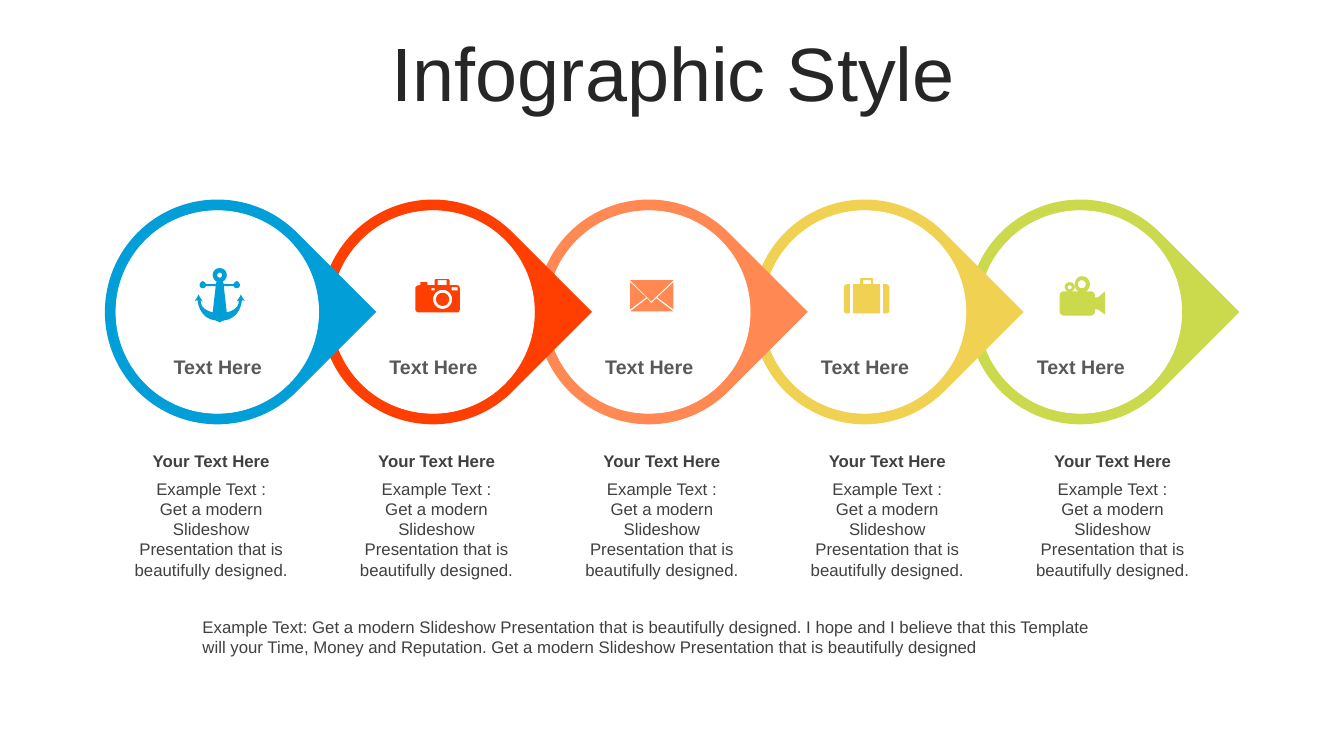
from dataclasses import dataclass

from pptx import Presentation
from pptx.dml.color import RGBColor
from pptx.enum.shapes import MSO_SHAPE
from pptx.enum.text import MSO_ANCHOR, MSO_AUTO_SIZE, PP_ALIGN
from pptx.util import Pt
from math import cos, pi, sin

PX = 9144  # EMU in one px, 100 px to the inch


@dataclass(frozen=True)
class Theme:
    font: str = "Arial"
    white: str = "FFFFFF"
    title: str = "262626"
    label: str = "595959"
    body: str = "404040"
    title_size: int = 54
    label_size: int = 14
    body_size: int = 12
    rim: float = 0.5


THEME = Theme()


# Outline helpers: a 2-tuple is a corner, a 6-tuple is a Bezier curve
def outline(*steps):
    points = []
    for step in steps:
        if len(step) == 2:
            points.append(step)
            continue
        start = points[-1]
        first, second, end = step[:2], step[2:4], step[4:]
        for i in range(1, 7):
            t = i / 6
            u = 1 - t
            points.append(tuple(
                u**3 * a + 3 * u * u * t * b + 3 * u * t * t * c + t**3 * d
                for a, b, c, d in zip(start, first, second, end)))
    return points


def circle(x, y, radius):
    return [(x + radius * cos(i * pi / 16), y + radius * sin(i * pi / 16))
            for i in range(32)]


def box(left, top, right, bottom):
    return [(left, top), (right, top), (right, bottom), (left, bottom)]


def mirrored(half):
    return half + [(-x, y) for x, y in reversed(half)]


# Content
TITLE = "Infographic Style"
LABEL = "Text Here"
CAPTION = "Your Text Here"
DETAIL = ["Example Text :",
          "Get a modern Slideshow Presentation that is beautifully designed."]
SUMMARY = ("Example Text: Get a modern Slideshow Presentation that is beautifully "
           "designed. I hope and I believe that this Template will your Time, Money "
           "and Reputation. Get a modern Slideshow Presentation that is beautifully "
           "designed")

ANCHOR = [
    mirrored(outline(
        (0, 0), (4, 0, 7, 3, 7, 7), (7, 9, 6, 11, 4, 13), (3, 13), (4, 16),
        (14, 16), (14, 15), (15, 14, 16, 13, 17, 13), (18, 13, 20, 15, 20, 17),
        (20, 19, 18, 20, 17, 20), (15, 20, 14, 19, 14, 18), (4, 18), (7, 44),
        (14, 42, 19, 39, 19, 32), (17, 33), (18, 31, 20, 29, 21, 26),
        (22, 29, 24, 31, 25, 33), (24, 32, 23, 32, 22, 32),
        (21, 42, 15, 51, 4, 52), (2, 53, 1, 53, 0, 54))),
    circle(0, 7, 2.5),
]
CAMERA = [
    outline((20, 0), (33, 0), (34, 1), (34, 6), (41, 6), (43, 6, 44, 7, 44, 9),
            (44, 30), (44, 32, 43, 33, 41, 33), (4, 33), (2, 33, 0, 32, 0, 30),
            (0, 9), (0, 7, 2, 6, 4, 6), (5, 6), (5, 3), (12, 3), (12, 6),
            (19, 6), (19, 1)),
    circle(27, 20, 9.5), circle(27, 20, 6.5),
    box(16, 9, 19, 11), box(36, 8, 42, 11), box(22, 1, 31, 6),
]
ENVELOPE = [
    outline((26, 18), (43, 31), (0, 31), (17, 18), (21, 23)),
    outline((43, 2), (43, 29), (27, 17)),
    outline((0, 2), (16, 17), (0, 29)),
    outline((0, 0), (43, 0), (21, 21)),
]
SUITCASE = [
    outline((39, 6), (42, 6), (44, 6, 45, 8, 45, 9), (45, 32),
            (45, 34, 44, 35, 42, 35), (39, 35)),
    outline((6, 6), (6, 35), (3, 35), (1, 35, 0, 34, 0, 32), (0, 9),
            (0, 8, 1, 6, 3, 6)),
    outline((18, 0), (27, 0), (28, 0, 29, 0, 29, 1), (29, 6), (36, 6), (36, 35),
            (9, 35), (9, 6), (16, 6), (16, 1), (16, 0, 17, 0, 18, 0)),
    box(19, 2, 27, 6),
]
FILM_CAMERA = [
    outline((22, 0), (27, 0, 30, 4, 30, 8), (30, 11, 28, 14, 26, 15), (31, 15),
            (33, 15, 35, 17, 35, 19), (35, 21), (38, 21), (45, 15), (45, 38),
            (38, 33), (35, 33), (35, 35), (35, 37, 33, 39, 31, 39), (4, 39),
            (2, 39, 0, 37, 0, 35), (0, 19), (0, 17, 2, 15, 4, 15), (8, 15),
            (6, 14, 5, 12, 5, 11), (5, 8, 7, 6, 10, 6), (13, 6, 15, 8, 15, 11),
            (15, 12, 14, 14, 12, 15), (19, 15), (16, 14, 15, 11, 15, 8),
            (15, 4, 18, 0, 22, 0)),
    circle(10, 11, 2), circle(22, 8, 4),
]
# Colour, icon and the icon's origin for each step
STEPS = [
    ("019ED7", ANCHOR, (218, 266)),
    ("FF3F02", CAMERA, (412, 277)),
    ("FF8853", ENVELOPE, (625, 278)),
    ("F0D152", SUITCASE, (837, 276)),
    ("CADA4C", FILM_CAMERA, (1051, 274)),
]

# Layout
DROP_LEFT, DROP_TOP, DROP_SIZE, DROP_PITCH = 104, 198, 223, 214
RIM_WIDTH = 11
CAPTION_LEFT, CAPTION_PITCH = 115, 447 / 2

prs = Presentation()
prs.slide_width, prs.slide_height = 1333 * PX, 750 * PX
slide = prs.slides.add_slide(prs.slide_layouts[6])
shapes = slide.shapes


def emu(*lengths):
    return [round(length * PX) for length in lengths]


def paint(shape, color):
    shape.shadow.inherit = False
    shape.fill.solid()
    shape.fill.fore_color.rgb = RGBColor.from_string(color)
    shape.line.fill.background()


def add_text(area, paragraphs, size, color, bold=False, align=PP_ALIGN.CENTER):
    frame = shapes.add_textbox(*emu(*area)).text_frame
    frame.word_wrap = True
    frame.auto_size = MSO_AUTO_SIZE.SHAPE_TO_FIT_TEXT
    for i, text in enumerate(paragraphs):
        paragraph = frame.add_paragraph() if i else frame.paragraphs[0]
        paragraph.alignment = align
        run = paragraph.add_run()
        run.text = text
        run.font.name, run.font.size, run.font.bold = THEME.font, Pt(size), bold
        run.font.color.rgb = RGBColor.from_string(color)
    return frame


def add_icon(contours, origin, color):
    builder = None
    for contour in contours:
        start, *rest = [emu(*point) for point in contour]
        if builder is None:
            builder = shapes.build_freeform(*start, scale=1.0)
        else:
            builder.move_to(*start)
        builder.add_line_segments(rest, close=True)
    paint(builder.convert_to_shape(*emu(*origin)), color)


# Title
heading = add_text((35, 37, 1266, 79), [TITLE], THEME.title_size, THEME.title)
heading.auto_size = MSO_AUTO_SIZE.NONE
heading.vertical_anchor = MSO_ANCHOR.MIDDLE
heading.paragraphs[0].line_spacing = 0.9

# Chain of drops, the leftmost in front
for i, (color, icon, origin) in reversed(list(enumerate(STEPS))):
    left = DROP_LEFT + i * DROP_PITCH
    drop = shapes.add_shape(MSO_SHAPE.TEAR, *emu(left, DROP_TOP, DROP_SIZE, DROP_SIZE))
    drop.rotation = 45
    paint(drop, color)
    inner = DROP_SIZE - 2 * RIM_WIDTH
    disc = shapes.add_shape(
        MSO_SHAPE.OVAL, *emu(left + RIM_WIDTH, DROP_TOP + RIM_WIDTH, inner, inner))
    paint(disc, THEME.white)
    disc.line.color.rgb = RGBColor.from_string(THEME.white)
    disc.line.width = Pt(THEME.rim)
    add_icon(icon, origin, color)

# Labels and captions
for i in range(len(STEPS)):
    add_text((DROP_LEFT + 40 + i * DROP_PITCH, 347, 144, 34), [LABEL],
             THEME.label_size, THEME.label, bold=True)
    left = CAPTION_LEFT + i * CAPTION_PITCH
    add_text((left, 442, 189, 30), [CAPTION], THEME.body_size, THEME.body, bold=True)
    add_text((left, 470, 189, 111), DETAIL, THEME.body_size, THEME.body)

# Summary
summary = add_text((191, 607, 935, 50), [SUMMARY], THEME.body_size, THEME.body,
                   align=PP_ALIGN.LEFT)
summary.margin_right = 35 * PX

prs.save("out.pptx")
